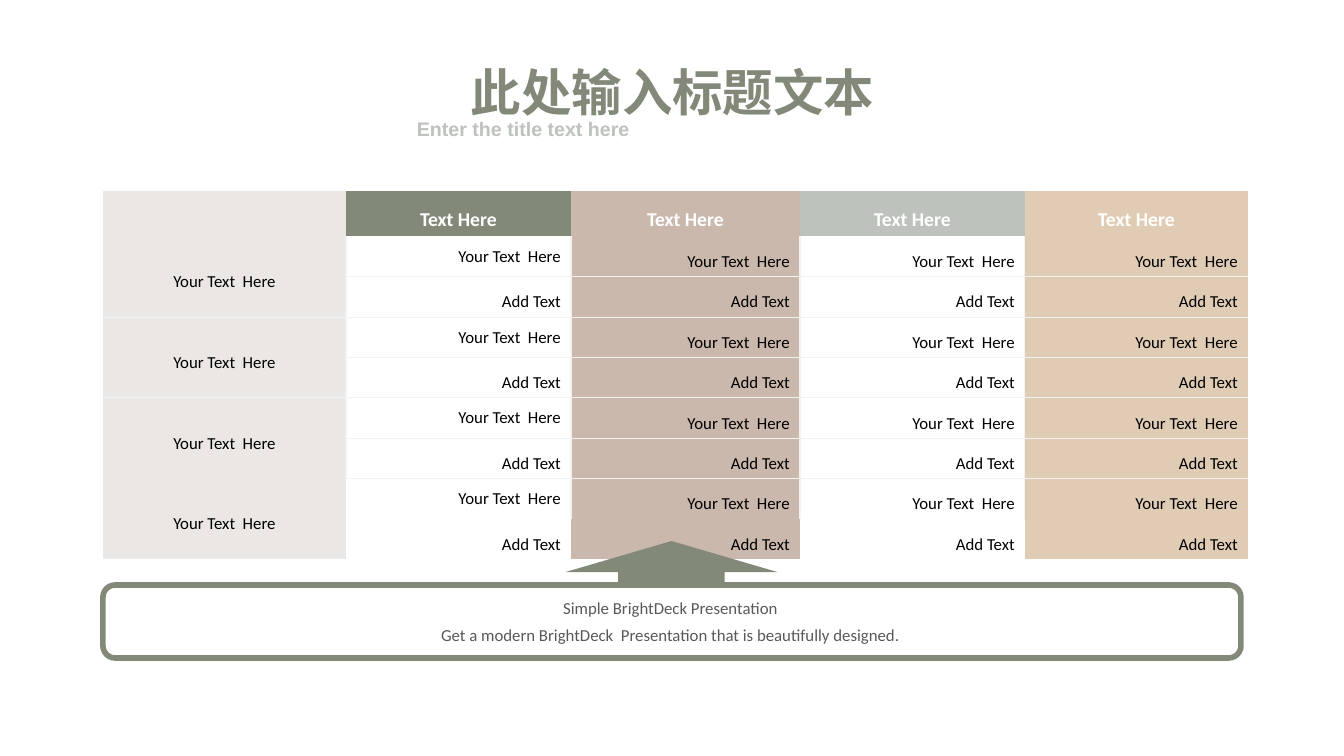
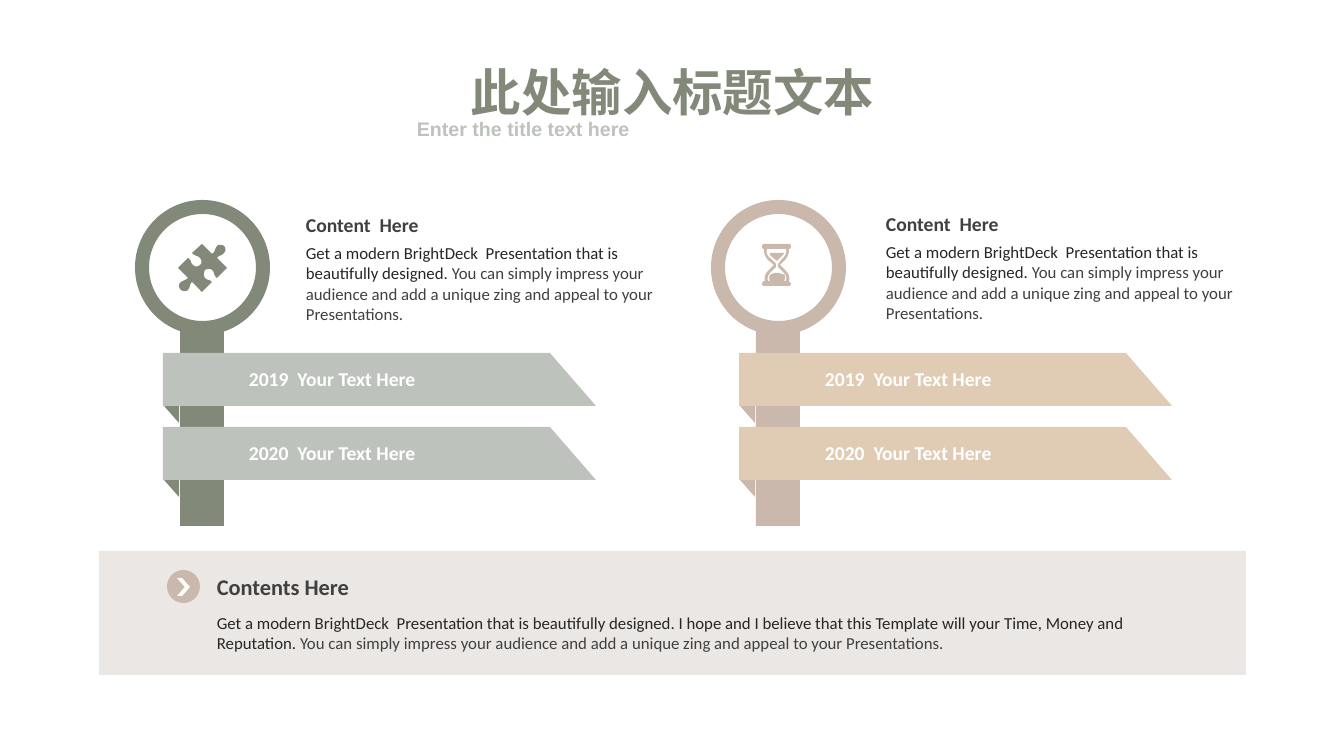
from lxml.etree import SubElement
from pptx import Presentation
from pptx.dml.color import RGBColor
from pptx.enum.shapes import MSO_SHAPE
from pptx.enum.text import MSO_ANCHOR, MSO_AUTO_SIZE, PP_ALIGN
from pptx.oxml.ns import qn
from pptx.util import Emu, Pt

# Shared look
OLIVE = RGBColor(0x82, 0x89, 0x79)
ROSE = RGBColor(0xCA, 0xB8, 0xAC)
SAGE = RGBColor(0xBD, 0xC2, 0xBC)
SAND = RGBColor(0xE0, 0xCC, 0xB4)
PALE = RGBColor(0xEB, 0xE7, 0xE4)
RULE = RGBColor(0xF2, 0xF2, 0xF2)
WHITE = RGBColor(0xFF, 0xFF, 0xFF)
BLACK = RGBColor(0x00, 0x00, 0x00)
INK = RGBColor(0x26, 0x26, 0x26)
GRAPHITE = RGBColor(0x40, 0x40, 0x40)
GREY = RGBColor(0x59, 0x59, 0x59)
EMU_PER_PX = 914400 / 100.8
SLIDE_SIZE = (1344, 756)

TITLE = "此处输入标题文本"
SUBTITLE = "Enter the title text here"

# Table slide
COLUMN_WIDTHS = [243, 225, 229, 225, 223]
HEADER_HEIGHT, ROW_HEIGHT = 44, 37
HEADER_FILLS = [PALE, OLIVE, ROSE, SAGE, SAND]
BODY_FILLS = [PALE, WHITE, ROSE, WHITE, SAND]
HEADER_TEXT = "Text Here"
BODY_TEXTS = ["Your Text  Here", "Add Text"]
GROUP_COUNT = 4
BANNER_LINES = [
    ("Simple BrightDeck Presentation", 593),
    ("Get a modern BrightDeck  Presentation that is beautifully designed.", 620),
]

# Signpost slide
INTRO = "Get a modern BrightDeck  Presentation that is beautifully designed. "
PITCH = ("You can simply impress your audience and add a unique zing "
         "and appeal to your Presentations.")
HOPE = ("I hope and I believe that this Template will your Time, "
        "Money and Reputation. ")
RIBBON_TEXTS = ["2019  Your Text Here", "2020  Your Text Here"]
RIBBON = [(0, 0), (387, 0), (433, 53), (0, 53)]
FOLD = [(17, 3), (1, 2), (1, 53), (16, 70)]

# Icon outlines: pairs are corners, sextuples are Bézier curves
PUZZLE = [[
    (46, 2), (48, 4, 48, 7, 46, 9), (44, 12, 41, 11, 39, 14), (49, 24),
    (39, 34), (35, 31, 37, 28, 34, 26), (32, 24, 29, 25, 27, 26),
    (26, 28, 25, 31, 27, 34), (30, 37, 31, 35, 34, 38), (24, 48), (14, 38),
    (11, 41, 13, 42, 10, 46), (8, 48, 4, 47, 3, 46), (1, 44, 0, 41, 2, 39),
    (5, 36, 7, 37, 10, 34), (0, 24), (10, 14), (14, 16, 12, 19, 15, 21),
    (17, 23, 20, 23, 22, 21), (24, 20, 24, 16, 22, 14),
    (19, 11, 18, 13, 14, 9), (24, 0), (34, 10), (38, 7, 36, 6, 39, 2),
    (41, 0, 45, 1, 46, 2),
]]
HOURGLASS = [
    [(3, 0), (27, 0), (28, 0, 29, 1, 29, 2), (29, 4, 28, 5, 27, 5),
     (27, 9, 26, 13, 23, 16), (18, 21), (24, 27), (27, 30, 28, 34, 27, 38),
     (28, 38, 29, 39, 29, 40), (29, 41, 28, 42, 27, 42), (3, 42),
     (1, 42, 0, 41, 0, 40), (0, 39, 1, 37, 3, 37), (2, 34, 3, 30, 6, 27),
     (12, 21), (6, 16), (3, 13, 2, 9, 2, 5), (1, 5, 0, 4, 0, 2),
     (0, 1, 1, 0, 3, 0)],
    [(5, 5), (4, 8, 5, 12, 8, 14), (14, 20), (14, 23), (8, 29),
     (6, 31, 5, 35, 6, 37), (24, 37), (25, 34, 24, 31, 22, 29), (16, 23),
     (16, 20), (21, 14), (24, 11, 25, 8, 24, 5)],
    [(16, 29), (18, 29, 20, 30, 23, 31), (23, 33, 23, 35, 22, 37), (8, 37),
     (7, 35, 7, 33, 8, 31), (11, 29, 13, 29, 16, 29)],
    [(8, 9), (22, 9), (22, 10, 21, 11, 20, 12), (15, 17), (9, 12),
     (8, 11, 8, 10, 8, 9)],
]
SIGNS = [
    {"left": 142, "post": OLIVE, "ribbon": SAGE, "text_at": (296, 208),
     "icon": PUZZLE, "icon_at": (178, 244)},
    {"left": 718, "post": ROSE, "ribbon": SAND, "text_at": (876, 207),
     "icon": HOURGLASS, "icon_at": (762, 244)},
]


def px(value):
    return Emu(round(value * EMU_PER_PX))


def format_runs(para, size, color, bold=False, font="Calibri"):
    for span in para.runs:
        span.font.size = Pt(size)
        span.font.name = font
        span.font.bold = bold
        span.font.color.rgb = color


def add_text(page, frame, parts, size, bold=False, font="Calibri",
             align=PP_ALIGN.LEFT, anchor=MSO_ANCHOR.TOP, wrap=True):
    """Add one paragraph made of (text, colour) parts."""
    box = page.shapes.add_textbox(*map(px, frame))
    text_frame = box.text_frame
    text_frame.word_wrap = wrap
    text_frame.auto_size = MSO_AUTO_SIZE.SHAPE_TO_FIT_TEXT
    text_frame.vertical_anchor = anchor
    para = text_frame.paragraphs[0]
    para.alignment = align
    for text, color in parts:
        span = para.add_run()
        span.text = text
        span.font.size = Pt(size)
        span.font.name = font
        span.font.bold = bold
        span.font.color.rgb = color


def paint(shape, fill, line=None, line_width=0):
    shape.shadow.inherit = False
    shape.fill.solid()
    shape.fill.fore_color.rgb = fill
    if line is None:
        shape.line.fill.background()
    else:
        shape.line.color.rgb = line
        shape.line.width = Pt(line_width)


def add_shape(page, kind, frame, fill, line=None, line_width=0, adjust=()):
    shape = page.shapes.add_shape(kind, *map(px, frame))
    for index, value in enumerate(adjust):
        shape.adjustments[index] = value
    paint(shape, fill, line, line_width)
    return shape


def flatten(contour, steps=6):
    points = [contour[0]]
    for segment in contour[1:]:
        if len(segment) == 2:
            points.append(segment)
            continue
        x0, y0 = points[-1]
        x1, y1, x2, y2, x3, y3 = segment
        for step in range(1, steps + 1):
            t = step / steps
            a, b, c, d = (1 - t) ** 3, 3 * t * (1 - t) ** 2, 3 * t * t * (1 - t), t ** 3
            points.append((a * x0 + b * x1 + c * x2 + d * x3,
                           a * y0 + b * y1 + c * y2 + d * y3))
    return points


def add_outline(page, left, top, contours, fill):
    builder = None
    for contour in contours:
        points = [(px(left + x), px(top + y)) for x, y in flatten(contour)]
        if builder is None:
            builder = page.shapes.build_freeform(*points[0])
        else:
            builder.move_to(*points[0])
        builder.add_line_segments(points[1:], close=True)
    paint(builder.convert_to_shape(), fill)


def add_page(deck):
    page = deck.slides.add_slide(deck.slide_layouts[6])
    add_text(page, (459, 56, 427, 72), [(TITLE, OLIVE)], 36, bold=True,
             align=PP_ALIGN.CENTER, wrap=False)
    add_text(page, (407, 112, 529, 34), [(SUBTITLE, SAGE)], 14, bold=True,
             font="Arial", align=PP_ALIGN.JUSTIFY)
    return page


def set_borders(cell, visible):
    properties = cell._tc.get_or_add_tcPr()
    for side in "LRTB":
        line = SubElement(properties, qn("a:ln" + side), w=str(Pt(1)))
        if side in visible:
            solid = SubElement(line, qn("a:solidFill"))
            SubElement(solid, qn("a:srgbClr"), val=str(RULE))
        else:
            SubElement(line, qn("a:noFill"))


def visible_sides(row, column, last_row, last_column):
    """Rules lie between body cells, except around the last group."""
    if row in (0, last_row) or (column == 0 and row >= last_row - 1):
        return ""
    sides = ""
    if column > 1 or (column == 1 and row < last_row - 1):
        sides += "L"
    if column < last_column:
        sides += "R"
    if row > 1:
        sides += "T"
    if row < last_row - 1 and not (column == 0 and row >= last_row - 3):
        sides += "B"
    return sides


def add_price_table(page):
    row_count = 1 + GROUP_COUNT * len(BODY_TEXTS)
    height = HEADER_HEIGHT + ROW_HEIGHT * (row_count - 1)
    frame = page.shapes.add_table(row_count, len(COLUMN_WIDTHS), px(103), px(191),
                                  px(sum(COLUMN_WIDTHS)), px(height))
    table = frame.table
    table.first_row = table.horz_banding = False
    for column, width in zip(table.columns, COLUMN_WIDTHS):
        column.width = px(width)
    for index, row in enumerate(table.rows):
        row.height = px(ROW_HEIGHT if index else HEADER_HEIGHT)
    for first in range(1, row_count, 2):
        table.cell(first, 0).merge(table.cell(first + 1, 0))

    for row in range(row_count):
        for column in range(len(COLUMN_WIDTHS)):
            cell = table.cell(row, column)
            set_borders(cell, visible_sides(row, column, row_count - 1,
                                            len(COLUMN_WIDTHS) - 1))
            cell.fill.solid()
            cell.fill.fore_color.rgb = (BODY_FILLS if row else HEADER_FILLS)[column]
            if cell.is_spanned or row == column == 0:
                continue
            cell.vertical_anchor = MSO_ANCHOR.MIDDLE
            para = cell.text_frame.paragraphs[0]
            para.text = BODY_TEXTS[(row - 1) % 2] if row else HEADER_TEXT
            centred = row == 0 or column == 0
            para.alignment = PP_ALIGN.CENTER if centred else PP_ALIGN.RIGHT
            if not (column == 1 and row % 2):
                para.line_spacing = 1.5
            if row:
                format_runs(para, 12, BLACK)
            else:
                format_runs(para, 14, WHITE, bold=True)


def build_table_page(deck):
    page = add_page(deck)
    add_price_table(page)
    # Banner with arrow
    add_shape(page, MSO_SHAPE.ROUNDED_RECTANGLE, (103, 585, 1138, 73), WHITE, OLIVE, 4)
    add_shape(page, MSO_SHAPE.UP_ARROW, (565, 541, 213, 44), OLIVE, adjust=(0.5, 0.71))
    for text, top in BANNER_LINES:
        add_text(page, (172, top, 997, 30), [(text, GREY)], 12, align=PP_ALIGN.CENTER)


def add_sign(page, sign):
    left, post = sign["left"], sign["post"]
    add_shape(page, MSO_SHAPE.RECTANGLE, (left + 38, 327, 44, 199), post)
    add_shape(page, MSO_SHAPE.OVAL, (left, 207, 121, 121), WHITE, post, 10)
    for index, text in enumerate(RIBBON_TEXTS):
        ribbon_left, top = left + 21, 353 + 74 * index
        add_outline(page, ribbon_left, top, [FOLD], post)
        add_outline(page, ribbon_left, top, [RIBBON], sign["ribbon"])
        add_text(page, (ribbon_left + 76, top + 9, 275, 34), [(text, WHITE)], 14, bold=True)
    add_outline(page, *sign["icon_at"], sign["icon"], post)
    text_left, text_top = sign["text_at"]
    add_text(page, (text_left, text_top, 369, 34), [("Content  Here", GRAPHITE)], 14,
             bold=True, anchor=MSO_ANCHOR.MIDDLE)
    add_text(page, (text_left, text_top + 30, 369, 92),
             [(INTRO, INK), (PITCH, GRAPHITE)], 12)


def build_sign_page(deck):
    page = add_page(deck)
    for sign in SIGNS:
        add_sign(page, sign)
    # Summary panel
    add_shape(page, MSO_SHAPE.RECTANGLE, (99, 551, 1147, 124), PALE)
    add_shape(page, MSO_SHAPE.OVAL, (167, 570, 33, 33), ROSE)
    chevron = add_shape(page, MSO_SHAPE.CHEVRON, (177, 578, 13, 18), WHITE, adjust=(0.6,))
    color = chevron._element.spPr.find(qn("a:solidFill"))[0]
    SubElement(color, qn("a:alpha"), val="97000")
    add_text(page, (207, 568, 1000, 37), [("Contents Here", GRAPHITE)], 16,
             bold=True, anchor=MSO_ANCHOR.MIDDLE)
    add_text(page, (207, 608, 1000, 50), [(INTRO + HOPE, INK), (PITCH, GRAPHITE)], 12)


def main():
    deck = Presentation()
    deck.slide_width, deck.slide_height = map(px, SLIDE_SIZE)
    build_table_page(deck)
    build_sign_page(deck)
    deck.save("out.pptx")


if __name__ == "__main__":
    main()
